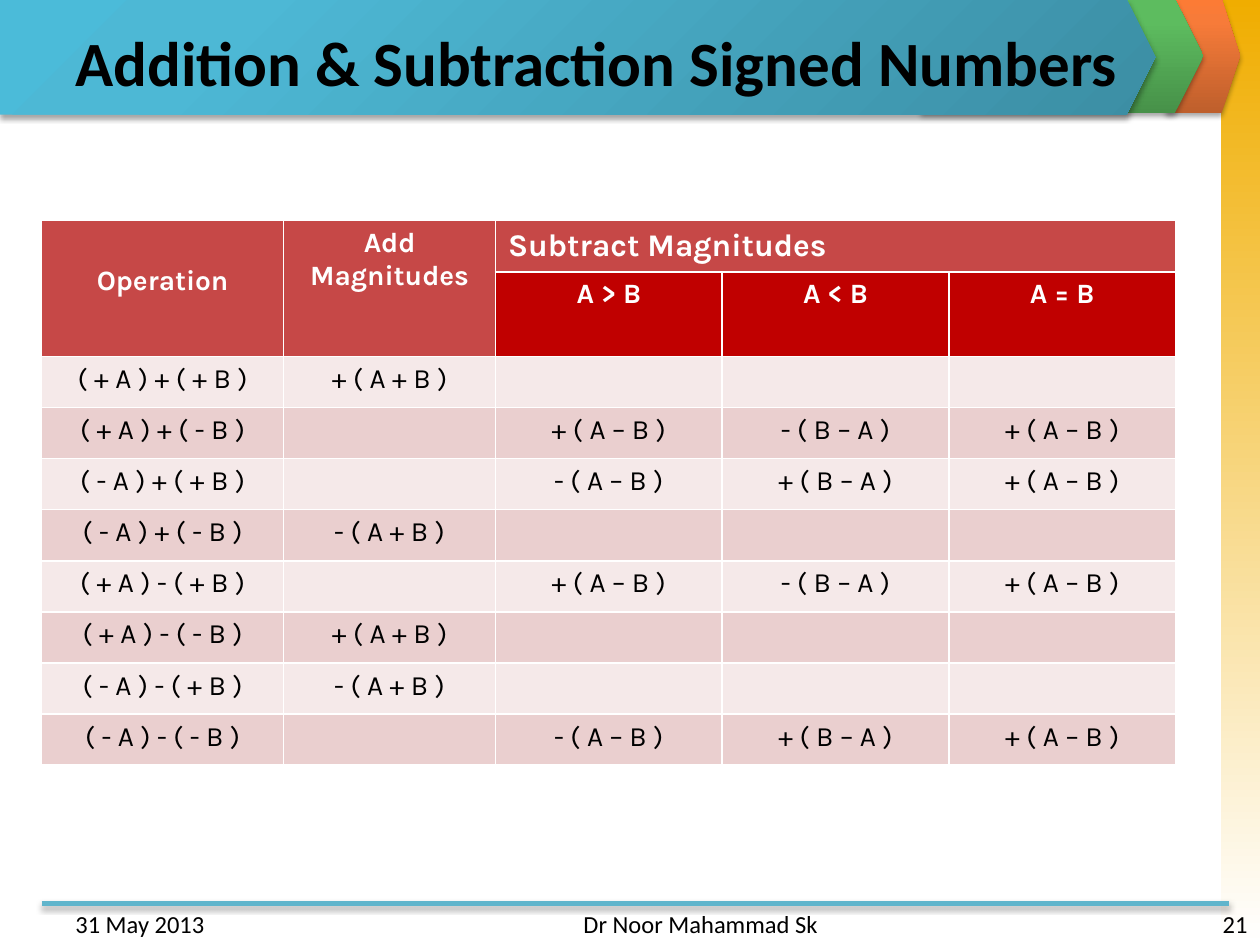
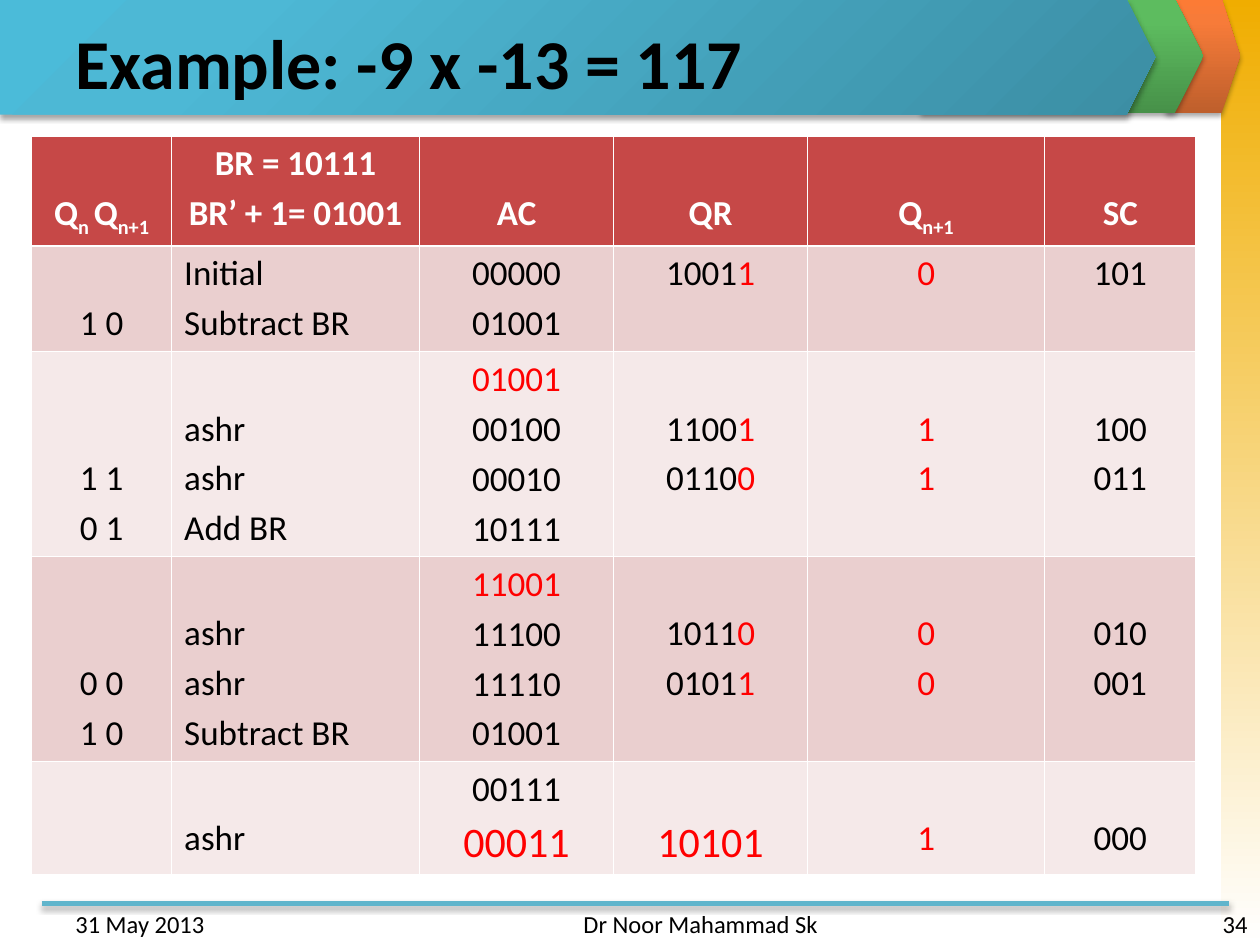
import pptx
import pptx.util
import pptx.dml.color
import pptx.enum.shapes
import pptx.enum.text
import pptx.oxml
import pptx.oxml.ns

Cm = pptx.util.Cm
Pt = pptx.util.Pt
RGBColor = pptx.dml.color.RGBColor
SHAPE = pptx.enum.shapes.MSO_SHAPE
ALIGN = pptx.enum.text.PP_ALIGN
ANCHOR = pptx.enum.text.MSO_ANCHOR

# Colours and fonts
BLACK = RGBColor(0x00, 0x00, 0x00)
WHITE = RGBColor(0xFF, 0xFF, 0xFF)
RED = RGBColor(0xFF, 0x00, 0x00)
HEADER = RGBColor(0xC6, 0x48, 0x47)
SUBHEADER = RGBColor(0xC0, 0x00, 0x00)
PINK = RGBColor(0xEA, 0xCF, 0xCF)
PALE = RGBColor(0xF5, 0xE9, 0xE9)
RULE = RGBColor(0x60, 0xB5, 0xCC)
GOLD = RGBColor(0xF0, 0xAD, 0x00)
ORANGES = [(0, RGBColor(0xBE, 0x5F, 0x2C)), (80, RGBColor(0xF7, 0x7B, 0x39)),
           (100, RGBColor(0xFC, 0x7B, 0x35))]
GREENS = [(0, RGBColor(0x47, 0x91, 0x49)), (80, RGBColor(0x5D, 0xBC, 0x5F)),
          (100, RGBColor(0x5B, 0xBF, 0x5E))]
BLUES = [(0, RGBColor(0x3C, 0x8E, 0xA4)), (80, RGBColor(0x4D, 0xB8, 0xD5)),
         (100, RGBColor(0x4B, 0xBB, 0xD9))]
TEXT_FONT, SIGN_FONT = "Calibri", "Karla"

UPWARD = '<a:lin ang="16200000" scaled="0"/>'
DOWNWARD = '<a:lin ang="5400000" scaled="0"/>'
FROM_CORNER = '<a:path path="circle"><a:fillToRect l="100000" t="100000"/></a:path>'
NS = pptx.oxml.ns.nsdecls("a")


# Drawing helpers
def set_gradient(sp, stops, direction):
    sp.fill.background()
    gs = "".join(f'<a:gs pos="{pos * 1000}"><a:srgbClr val="{color}"/></a:gs>'
                 for pos, color in stops)
    gradient = pptx.oxml.parse_xml(
        f'<a:gradFill {NS} rotWithShape="1"><a:gsLst>{gs}</a:gsLst>{direction}</a:gradFill>')
    spPr = sp._element.spPr
    spPr.replace(spPr.find(pptx.oxml.ns.qn("a:noFill")), gradient)


def add_shadow(sp):
    sp._element.spPr.append(pptx.oxml.parse_xml(
        f'<a:effectLst {NS}><a:outerShdw blurRad="{Pt(3.1)}" dist="{Pt(1.8)}" '
        'dir="5400000" rotWithShape="0"><a:srgbClr val="000000">'
        '<a:alpha val="35000"/></a:srgbClr></a:outerShdw></a:effectLst>'))


def add_band(s, shape, x, y, w, h, stops, direction):
    sp = s.shapes.add_shape(shape, Cm(x), Cm(y), Cm(w), Cm(h))
    set_gradient(sp, stops, direction)
    sp.line.fill.background()
    return sp


def add_arrow_band(s, x, y, w, stops, direction):
    sp = add_band(s, SHAPE.PENTAGON, x, y, w, 2.31, stops, direction)
    sp.adjustments[0] = 0.25
    add_shadow(sp)


def add_run(p, text, font, size, color, bold=False, sub=False):
    r = p.add_run()
    r.text = text
    r.font.name, r.font.size, r.font.bold = font, Pt(size), bold
    r.font.color.rgb = color
    if sub:
        r._r.get_or_add_rPr().set("baseline", "-25000")


def add_text(s, x, y, w, h, text, size, align=ALIGN.LEFT, anchor=ANCHOR.TOP, bold=False):
    tf = s.shapes.add_textbox(Cm(x), Cm(y), Cm(w), Cm(h)).text_frame
    tf.word_wrap = True
    tf.vertical_anchor = anchor
    p = tf.paragraphs[0]
    p.alignment = align
    add_run(p, text, TEXT_FONT, size, BLACK, bold)


# Frame shared by the slides
def add_frame(prs, title, title_size, number):
    s = prs.slides.add_slide(prs.slide_layouts[6])
    sidebar = add_band(s, SHAPE.RECTANGLE, 24.61, 0, 0.79, 19.05,
                       [(0, GOLD), (100, WHITE)], DOWNWARD)
    sidebar.shadow.inherit = False
    add_arrow_band(s, 23.5, -0.03, 1.5, ORANGES, UPWARD)
    add_arrow_band(s, 18.57, -0.03, 5.69, GREENS, UPWARD)

    rule = s.shapes.add_connector(pptx.enum.shapes.MSO_CONNECTOR.STRAIGHT,
                                  Cm(0.84), Cm(18.21), Cm(24.77), Cm(18.21))
    rule.line.color.rgb = RULE
    rule.line.width = Pt(3)
    add_shadow(rule)

    add_arrow_band(s, 0, 0, 23.29, BLUES, FROM_CORNER)
    add_text(s, 1.27, 0.36, 22.86, 1.75, title, title_size, anchor=ANCHOR.MIDDLE, bold=True)
    for x, w, text, align in [(1.27, 5.92, "31 May 2013", ALIGN.LEFT),
                              (8.69, 8.05, "Dr Noor Mahammad Sk", ALIGN.RIGHT),
                              (19.48, 5.92, number, ALIGN.RIGHT)]:
        add_text(s, x, 18.21, w, 0.64, text, 14, align)
    return s


# Table helpers: a cell is a list of lines, a line a list of runs,
# a run a string or a (text, options) pair; a leading None skips a line
def red(text, **options):
    return text, dict(color=RED, **options)


def sub(text):
    return text, dict(sub=True)


def add_grid(s, x, y, widths, heights):
    table = s.shapes.add_table(len(heights), len(widths), Cm(x), Cm(y),
                               Cm(sum(widths)), Cm(sum(heights))).table
    table.horz_banding = False
    for column, w in zip(table.columns, widths):
        column.width = Cm(w)
    for row, h in zip(table.rows, heights):
        row.height = Cm(h)
    return table


def fill_cell(cell, fill, lines, font, size, pitch, color=BLACK, bold=False,
              align=ALIGN.CENTER):
    cell.fill.solid()
    cell.fill.fore_color.rgb = fill
    shown = [line for line in lines if line is not None]
    cell.margin_top = Cm(0.13 + pitch * (len(lines) - len(shown)))
    for i, line in enumerate(shown):
        tf = cell.text_frame
        p = tf.add_paragraph() if i else tf.paragraphs[0]
        p.alignment = align
        if i:
            p.space_before = Pt(size * 0.2)
        for run in [line] if isinstance(line, (str, tuple)) else line:
            text, options = (run, {}) if isinstance(run, str) else run
            add_run(p, text, **{**dict(font=font, size=size, color=color, bold=bold),
                                **options})


# Slide: sign rules
def add_sign_slide(prs):
    s = add_frame(prs, "Addition & Subtraction Signed Numbers", 36, "21")
    table = add_grid(s, 0.84, 4.45, [4.88, 4.27, 4.57, 4.57, 4.57],
                     [1.03, 1.68] + [1.03] * 8)
    style = dict(font=SIGN_FONT, size=16, pitch=0.77)
    heading = dict(style, color=WHITE, bold=True)

    for column in (0, 1):
        table.cell(0, column).merge(table.cell(1, column))
    table.cell(0, 2).merge(table.cell(0, 4))
    fill_cell(table.cell(0, 0), HEADER, [None, "Operation"], **heading)
    fill_cell(table.cell(0, 1), HEADER, ["Add Magnitudes"], **heading)
    fill_cell(table.cell(0, 2), HEADER, ["Subtract Magnitudes"],
              **dict(heading, size=18, align=ALIGN.LEFT))
    for column, text in enumerate(["A > B", "A < B", "A = B"], 2):
        fill_cell(table.cell(1, column), SUBHEADER, [text], **heading)

    plus_sum, minus_sum = (["+ ( A + B )", "", "", ""], ["- ( A + B )", "", "", ""])
    a_minus_b = ["", "+ ( A – B )", "- ( B – A )", "+ ( A – B )"]
    b_minus_a = ["", "- ( A – B )", "+ ( B – A )", "+ ( A – B )"]
    operations = [
        ("( + A ) + ( + B )", plus_sum),
        ("( + A ) + ( - B )", a_minus_b),
        ("( - A ) + ( + B )", b_minus_a),
        ("( - A ) + ( - B )", minus_sum),
        ("( + A ) - ( + B )", a_minus_b),
        ("( + A ) - ( - B )", plus_sum),
        ("( - A ) - ( + B )", minus_sum),
        ("( - A ) - ( - B )", b_minus_a),
    ]
    for i, (operation, results) in enumerate(operations):
        for column, text in enumerate([operation] + results):
            fill_cell(table.cell(i + 2, column), PINK if i % 2 else PALE,
                      [text] if text else [], **style)


# Slide: multiplication steps
def qr(bits):
    return [bits[:-1], red(bits[-1])]


def add_example_slide(prs):
    s = add_frame(prs, "Example: -9 x -13 = 117", 40, "34")
    table = add_grid(s, 0.64, 2.74, [2.82, 5.0, 3.91, 3.91, 4.78, 3.05],
                     [2.19, 2.13, 4.13, 4.13, 2.28])
    style = dict(font=TEXT_FONT, size=20, pitch=1.0)

    headings = [[None, ["Q", sub("n "), "Q", sub("n+1")]],
                ["BR = 10111", "BR’ + 1= 01001"],
                [None, "AC"], [None, "QR"], [None, ["Q", sub("n+1")]], [None, "SC"]]
    for column, lines in enumerate(headings):
        fill_cell(table.cell(0, column), HEADER, lines, color=WHITE, bold=True, **style)

    steps = [
        [[None, "1 0"], ["Initial", "Subtract BR"], ["00000", "01001"],
         [qr("10011")], [red("0")], ["101"]],
        [[None, None, "1 1", "0 1"], [None, "ashr", "ashr", "Add BR"],
         [red("01001"), "00100", "00010", "10111"],
         [None, qr("11001"), qr("01100")], [None, red("1"), red("1")],
         [None, "100", "011"]],
        [[None, None, "0 0", "1 0"], [None, "ashr", "ashr", "Subtract BR"],
         [red("11001"), "11100", "11110", "01001"],
         [None, qr("10110"), qr("01011")], [None, red("0"), red("0")],
         [None, "010", "001"]],
        [[], [None, "ashr"], ["00111", red("00011", size=24)],
         [None, red("10101", size=24)], [None, red("1")], [None, "000"]],
    ]
    for i, step in enumerate(steps):
        for column, lines in enumerate(step):
            fill_cell(table.cell(i + 1, column), PALE if i % 2 else PINK, lines,
                      align=ALIGN.LEFT if column == 1 else ALIGN.CENTER, **style)


def main():
    prs = pptx.Presentation()
    prs.slide_width, prs.slide_height = Cm(25.4), Cm(19.05)
    add_sign_slide(prs)
    add_example_slide(prs)
    prs.save("out.pptx")


if __name__ == "__main__":
    main()
